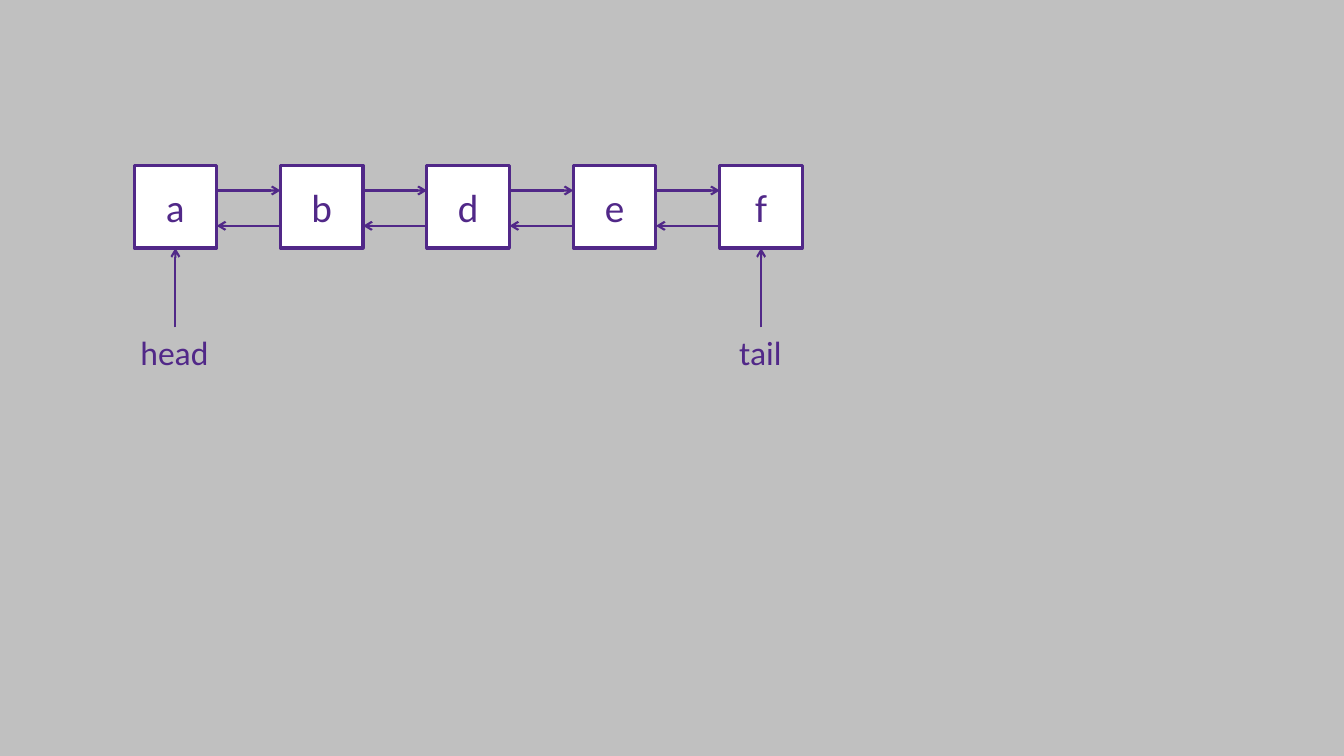
from lxml.etree import SubElement
from pptx import Presentation
from pptx.dml.color import RGBColor
from pptx.enum.shapes import MSO_CONNECTOR, MSO_SHAPE
from pptx.enum.text import MSO_ANCHOR, PP_ALIGN
from pptx.oxml.ns import qn
from pptx.util import Cm, Pt

COLORS = {"background": "C0C0C0", "node": "FFFFFF", "ink": "512888"}
FONT = "Calibri"

# Layout in centimetres
LEFT, TOP = 3.38, 4.17
SIDE, PITCH = 2.08, 3.69
NEXT_Y, PREV_Y = 4.8, 5.69
LABEL_Y, LABEL_H = 8.25, 1.27


def color(name):
    return RGBColor.from_string(COLORS[name])


def write(tf, text, size=24, align=PP_ALIGN.LEFT, anchor=MSO_ANCHOR.TOP):
    tf.vertical_anchor = anchor
    p = tf.paragraphs[0]
    p.alignment = align
    r = p.add_run()
    r.text = text
    r.font.name = FONT
    r.font.size = Pt(size)
    r.font.color.rgb = color("ink")


def add_node(s, x, text):
    sp = s.shapes.add_shape(MSO_SHAPE.RECTANGLE, Cm(x), Cm(TOP), Cm(SIDE), Cm(SIDE))
    sp.shadow.inherit = False
    sp.fill.solid()
    sp.fill.fore_color.rgb = color("node")
    sp.line.color.rgb = color("ink")
    sp.line.width = Pt(2.25)
    write(sp.text_frame, text, size=28, align=PP_ALIGN.CENTER, anchor=MSO_ANCHOR.MIDDLE)


def add_arrow(s, x1, y1, x2, y2):
    line = s.shapes.add_connector(MSO_CONNECTOR.STRAIGHT, Cm(x1), Cm(y1), Cm(x2), Cm(y2))
    line.line.color.rgb = color("ink")
    line.line.width = Pt(1.5)
    SubElement(line.line._get_or_add_ln(), qn("a:tailEnd"), type="arrow")
    SubElement(line._element.spPr, qn("a:effectLst"))


def add_pointer(s, node_x, text, width):
    """Label below a node, with an arrow up to it."""
    center = node_x + SIDE / 2
    box = s.shapes.add_textbox(Cm(center - width / 2), Cm(LABEL_Y), Cm(width), Cm(LABEL_H))
    box.text_frame.word_wrap = False
    write(box.text_frame, text)
    add_arrow(s, center, LABEL_Y, center, TOP + SIDE)


def main():
    prs = Presentation()
    prs.slide_width, prs.slide_height = Cm(33.87), Cm(19.05)
    s = prs.slides.add_slide(prs.slide_layouts[6])
    s.background.fill.solid()
    s.background.fill.fore_color.rgb = color("background")

    # Nodes of the doubly linked list
    nodes = "abdef"
    xs = [LEFT + i * PITCH for i in range(len(nodes))]
    for x, text in zip(xs, nodes):
        add_node(s, x, text)

    # Next and previous links
    for x, next_x in zip(xs, xs[1:]):
        add_arrow(s, x + SIDE, NEXT_Y, next_x, NEXT_Y)
        add_arrow(s, next_x, PREV_Y, x + SIDE, PREV_Y)

    # Head and tail pointers
    add_pointer(s, xs[0], "head", width=2.26)
    add_pointer(s, xs[-1], "tail", width=1.6)

    prs.save("out.pptx")


main()
